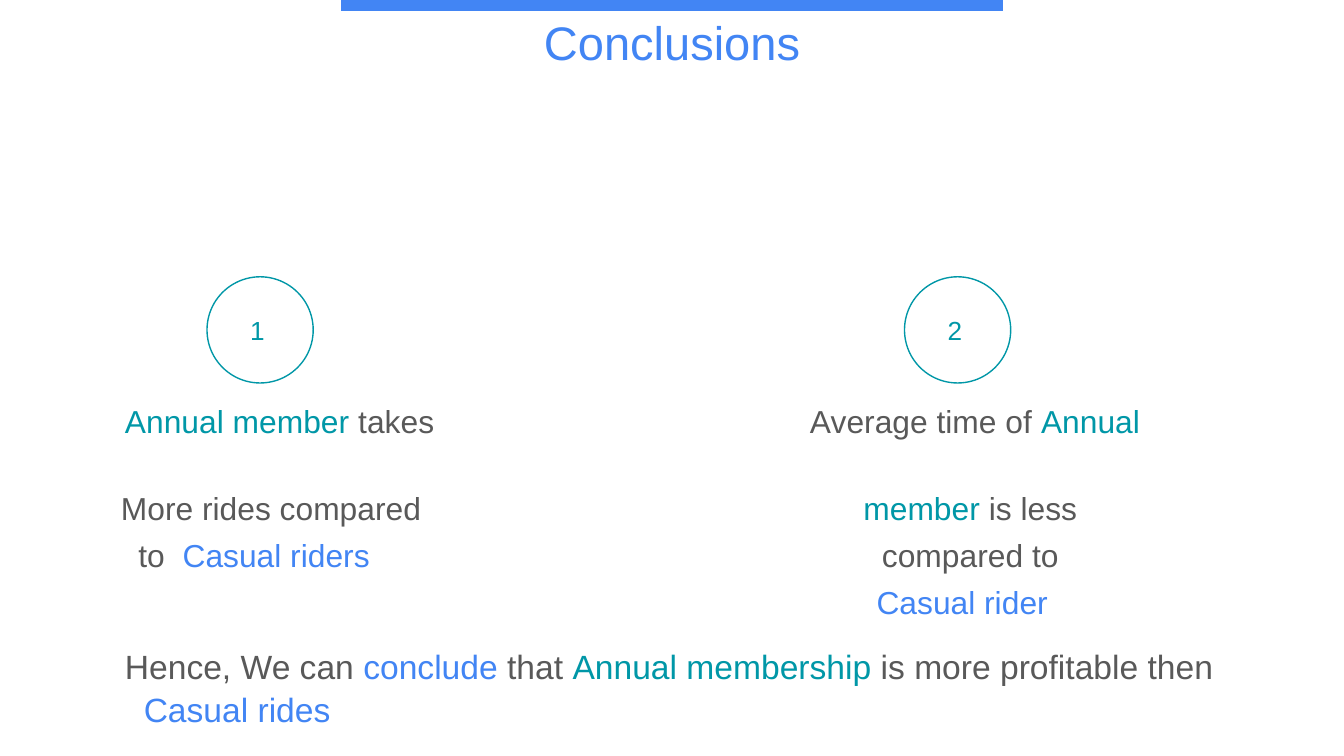
from pptx import Presentation
from pptx.dml.color import RGBColor
from pptx.enum.shapes import MSO_CONNECTOR as Connector, MSO_SHAPE as Shape
from pptx.enum.text import MSO_ANCHOR as Anchor, MSO_AUTO_SIZE as AutoSize, PP_ALIGN as Align
from pptx.oxml.ns import qn
from pptx.util import Inches, Pt
from lxml import etree

WIDTH = Inches(10)
HEIGHT = round(WIDTH * 9 / 16)
COLUMN, ROW = WIDTH / 100, HEIGHT / 56.25
FONT = "Arial"
BLUE, TEAL, GRAY, WHITE = "4285F4", "0097A7", "595959", "FFFFFF"
FINDINGS = [
    (9, 28, Align.LEFT, [
        (0, 0.3, 0, [("Annual member", TEAL), (" takes", GRAY)]),
        (26, 0, 0, [("More rides compared", GRAY)]),
        (5, 1.3, 0, [("to  ", GRAY), ("Casual riders", BLUE)]),
    ]),
    (58.2, 28, Align.CENTER, [
        (0, 0.7, 0, [("Average time of ", GRAY), ("Annual", TEAL)]),
        (26, 0, 0, [("member", TEAL), (" is less", GRAY)]),
        (5, 0, 0, [("compared to", GRAY)]),
        (5, 0, 1.2, [("Casual rider", BLUE)]),
    ]),
]
CONCLUSION = [
    (0, 0, 0, [("Hence, We can ", GRAY), ("conclude", BLUE), (" that ", GRAY),
               ("Annual membership", TEAL), (" is more profitable then", GRAY)]),
    (1, 1.4, 0, [("Casual rides", BLUE)]),
]


def color(code):
    return RGBColor.from_string(code)


def box(left, top, width, height):
    return (round(left * COLUMN), round(top * ROW),
            round(width * COLUMN), round(height * ROW))


def set_font(paragraph, size, code=None):
    paragraph.font.name, paragraph.font.size = FONT, Pt(size)
    if code:
        paragraph.font.color.rgb = color(code)


def set_insets(frame, inset):
    frame.margin_left = frame.margin_right = Inches(inset)
    frame.margin_top = frame.margin_bottom = Inches(inset)


def add_heading(slide, wording):
    heading = slide.shapes.title
    heading.left, heading.top, heading.width, heading.height = box(3.4, 0, 93.2, 6.3)
    frame = heading.text_frame
    frame.text = wording
    frame.auto_size = AutoSize.NONE
    frame.vertical_anchor = Anchor.TOP
    set_insets(frame, 0.1)
    frame.paragraphs[0].alignment = Align.CENTER
    set_font(frame.paragraphs[0], 25.2, BLUE)


def add_top_bar(slide):
    left, top, length, _ = box(25.4, 0.4, 49.2, 0)
    bar = slide.shapes.add_connector(Connector.STRAIGHT, left, top, left + length, top)
    bar.line.color.rgb = color(BLUE)
    bar.line.width = Pt(6)
    etree.SubElement(bar._element.spPr, qn("a:effectLst"))


def add_badge(slide, number, left):
    badge = slide.shapes.add_shape(Shape.OVAL, *box(left, 20.6, 7.9, 7.9))
    badge.shadow.inherit = False
    badge.fill.solid()
    badge.fill.fore_color.rgb = color(WHITE)
    badge.line.color.rgb = color(TEAL)
    badge.line.width = Pt(0.75)
    frame = badge.text_frame
    frame.text = str(number)
    frame.vertical_anchor = Anchor.MIDDLE
    set_insets(frame, 0.1)
    frame.margin_right = Inches(0.14)
    frame.paragraphs[0].alignment = Align.CENTER
    set_font(frame.paragraphs[0], 14, TEAL)


def add_statement(slide, place, lines, size, alignment=Align.LEFT):
    frame = slide.shapes.add_textbox(*box(*place)).text_frame
    frame.word_wrap = True
    set_insets(frame, 0)
    for index, (gap, indent, right_indent, phrases) in enumerate(lines):
        paragraph = frame.add_paragraph() if index else frame.paragraphs[0]
        paragraph.alignment = alignment
        paragraph.space_before = Pt(gap)
        set_font(paragraph, size)
        properties = paragraph._p.get_or_add_pPr()
        properties.set("marL", str(round(indent * COLUMN)))
        properties.set("marR", str(round(right_indent * COLUMN)))
        for wording, code in phrases:
            phrase = paragraph.add_run()
            phrase.text = wording
            phrase.font.color.rgb = color(code)


def main():
    deck = Presentation()
    deck.slide_width, deck.slide_height = WIDTH, HEIGHT
    slide = deck.slides.add_slide(deck.slide_layouts[5])
    add_heading(slide, "Conclusions")
    add_top_bar(slide)
    for index, (left, width, alignment, lines) in enumerate(FINDINGS):
        add_badge(slide, index + 1, 15.4 + 51.9 * index)
        add_statement(slide, (left, 29.9, width, 16), lines, 17, alignment)
    add_statement(slide, (9.3, 48.1, 88, 6), CONCLUSION, 18)
    deck.save("out.pptx")


main()
